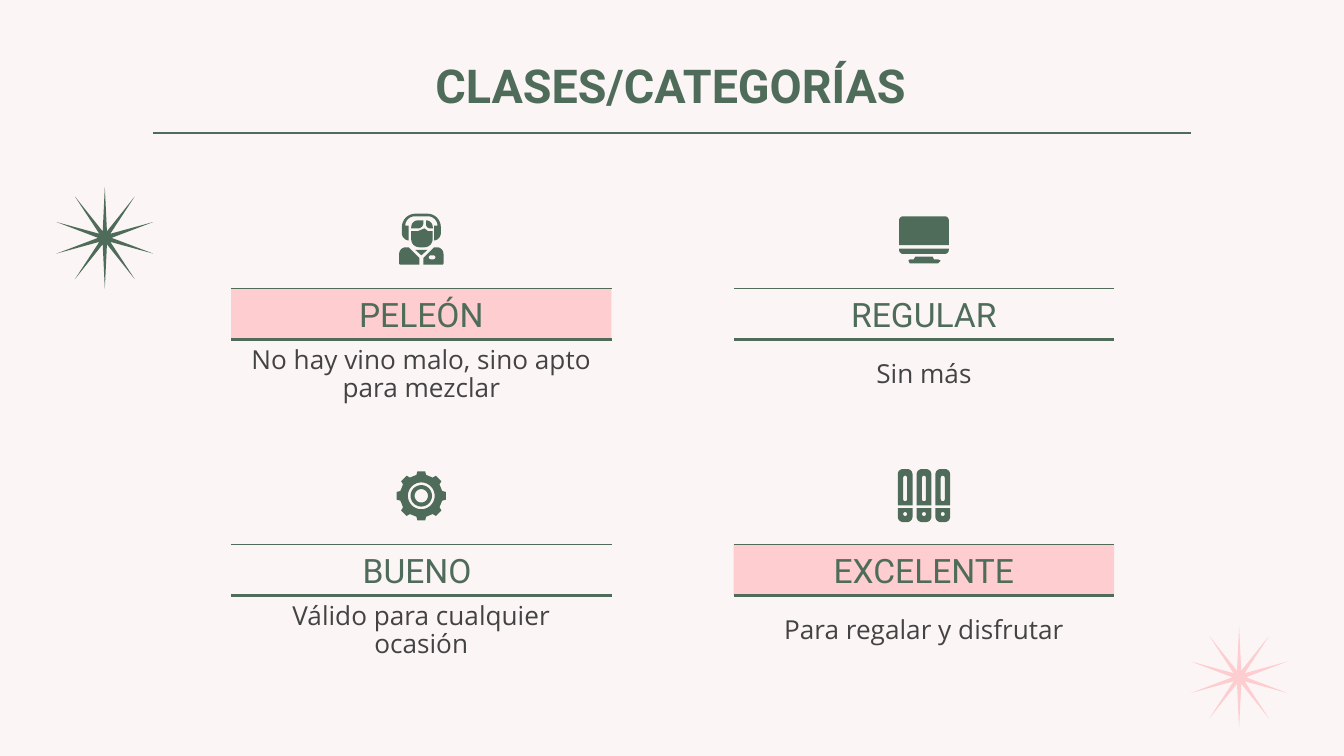
import dataclasses
import math

import pptx
import pptx.dml.color
import pptx.enum.shapes
import pptx.enum.text
import pptx.oxml.xmlchemy
import pptx.util

PX = 4572
CARD_WIDTH, NAME_HEIGHT, DETAIL_HEIGHT = 566, 76, 106
COLUMNS, ROWS = (344, 1092), (429, 810)
PORTRAIT_AXIS = 627


@dataclasses.dataclass(frozen=True)
class Theme:
    paper: str = "FCF5F5"
    green: str = "4F6C5A"
    pink: str = "FECDCF"
    grey: str = "434343"
    heading_font: str = "Roboto"
    body_font: str = "Open Sans"
    heading_size: int = 25
    name_size: int = 18
    detail_size: int = 14
    thick: float = 1.5
    thin: float = 0.75


THEME = Theme()


def rgb(value):
    return pptx.dml.color.RGBColor.from_string(value)


def px(value):
    return round(value * PX)


def apply(target, formats):
    for attribute, value in formats.items():
        setattr(target, attribute, value)


def place(shape, left, top, width, height):
    apply(shape, {"left": px(left), "top": px(top), "width": px(width), "height": px(height)})


def paint(shape, color):
    shape.shadow.inherit = False
    shape.line.fill.background()
    if color:
        shape.fill.solid()
        shape.fill.fore_color.rgb = rgb(color)
    else:
        shape.fill.background()


def write(shape, wording, font, size, color, bold=False, spacing=1.0, inset=20):
    frame = shape.text_frame
    apply(frame, {
        "text": wording,
        "word_wrap": True,
        "auto_size": pptx.enum.text.MSO_AUTO_SIZE.NONE,
        "vertical_anchor": pptx.enum.text.MSO_ANCHOR.MIDDLE,
        "margin_left": px(20),
        "margin_right": px(20),
        "margin_top": px(inset),
        "margin_bottom": px(inset),
    })
    paragraph = frame.paragraphs[0]
    apply(paragraph, {
        "alignment": pptx.enum.text.PP_ALIGN.CENTER,
        "line_spacing": spacing,
        "space_before": pptx.util.Pt(0),
    })
    properties = paragraph._p.get_or_add_pPr()
    properties.set("marL", "0")
    properties.set("indent", "0")
    properties.append(pptx.oxml.xmlchemy.OxmlElement("a:buNone"))
    run_font = paragraph.runs[0].font
    apply(run_font, {"name": font, "size": pptx.util.Pt(size), "bold": bold})
    run_font.color.rgb = rgb(color)


def add_rule(slide, left, right, y, weight):
    rule = slide.shapes.add_connector(
        pptx.enum.shapes.MSO_CONNECTOR.STRAIGHT, px(left), px(y), px(right), px(y))
    rule.line.color.rgb = rgb(THEME.green)
    rule.line.width = pptx.util.Pt(weight)
    rule._element.spPr.append(pptx.oxml.xmlchemy.OxmlElement("a:effectLst"))


def add_star(slide, left, top, color):
    star = slide.shapes.add_shape(
        pptx.enum.shapes.MSO_SHAPE.STAR_10_POINT, px(left), px(top), px(144), px(152))
    star.adjustments[0] = 0.067
    paint(star, color)


def rounded(corners, steps=8):
    points = []
    for index, (x, y, *radius) in enumerate(corners):
        if not any(radius):
            points.append((x, y))
            continue
        ends = []
        for near_x, near_y, *_ in (corners[index - 1], corners[(index + 1) % len(corners)]):
            ratio = radius[0] / math.dist((x, y), (near_x, near_y))
            ends.append((x + (near_x - x) * ratio, y + (near_y - y) * ratio))
        start, end = ends
        for step in range(steps + 1):
            t = step / steps
            a, b, c, d = (1 - t) ** 3, 3 * t * (1 - t) ** 2, 3 * t * t * (1 - t), t ** 3
            points.append(tuple(
                (a + 0.45 * b) * s + 0.55 * (b + c) * k + (d + 0.45 * c) * e
                for s, k, e in zip(start, (x, y), end)))
    return points


def box(left, top, width, height, upper=0, lower=0):
    right, bottom = left + width, top + height
    return rounded([(left, top, upper), (right, top, upper),
                    (right, bottom, lower), (left, bottom, lower)])


def circle(x, y, radius):
    return box(x - radius, y - radius, 2 * radius, 2 * radius, radius, radius)


def monitor():
    foot = [(681, 191), (694, 191), (695, 193), (698, 193), (700, 194),
            (698, 196), (677, 196), (676, 194), (677, 193), (680, 193)]
    return [[box(1338, 322, 74, 43, 6, 0)], [box(1338, 370, 74, 8, 0, 6)],
            [[(2 * x, 2 * y) for x, y in foot]]]


def gear():
    x, y = 627, 738
    teeth = [(x + radius * math.cos(math.radians(45 * tooth + turn)),
              y + radius * math.sin(math.radians(45 * tooth + turn)))
             for tooth in range(8)
             for radius, turn in ((32, -13), (37, -9), (37, 9), (32, 13))]
    return [[teeth, circle(x, y, 20)], [circle(x, y, 16), circle(x, y, 10)]]


def binders():
    parts = []
    for left in (1336, 1364, 1392):
        parts.append([box(left, 698, 22, 54, 8, 0), box(left + 8, 708, 6, 38, 3, 3)])
        parts.append([box(left, 756, 22, 21, 0, 8), circle(left + 11, 765, 3)])
    return parts


def portrait():
    left_coat = rounded([(594, 394, 2), (594, 368, 10), (608, 368), (624, 384), (624, 394)])
    right_coat = [(2 * PORTRAIT_AXIS - x, y) for x, y in left_coat]
    collar = [(618, 372), (636, 372), (627, 380)]
    headphones = rounded([
        (598, 318, 20), (656, 318, 20), (656, 357, 10), (646, 358), (646, 336), (651, 336),
        (651, 322, 14), (603, 322, 14), (603, 336), (608, 336), (608, 358), (598, 357, 10)])
    left_hair = rounded([(612, 328, 10), (630, 328), (630, 340, 8), (612, 340)])
    right_hair = rounded([(634, 328), (644, 328, 10), (644, 340), (634, 340, 6)])
    face = rounded([(612, 344), (622, 344), (632, 340), (637, 344), (644, 344),
                    (644, 368, 12), (612, 368, 12)])
    return [[left_coat], [right_coat, box(638, 380, 10, 6, 3, 3)], [collar],
            [headphones], [left_hair], [right_hair], [face]]


def add_icon(slide, parts):
    icon = slide.shapes.add_group_shape()
    for contours in parts:
        builder = None
        for contour in contours:
            (x, y), *rest = [(px(x), px(y)) for x, y in contour]
            if builder:
                builder.move_to(x, y)
            else:
                builder = icon.shapes.build_freeform(x, y, scale=1)
            builder.add_line_segments(rest, close=True)
        paint(builder.convert_to_shape(), THEME.green)


def add_category(slide, detail, left, top, name, description, highlight, icon):
    label = slide.shapes.add_shape(
        pptx.enum.shapes.MSO_SHAPE.RECTANGLE, px(left), px(top), px(CARD_WIDTH), px(NAME_HEIGHT))
    paint(label, highlight)
    write(label, name, THEME.heading_font, THEME.name_size, THEME.green)
    place(detail, left, top + NAME_HEIGHT, CARD_WIDTH, DETAIL_HEIGHT)
    write(detail, description, THEME.body_font, THEME.detail_size, THEME.grey, spacing=0.9)
    add_rule(slide, left, left + CARD_WIDTH, top, THEME.thin)
    add_rule(slide, left, left + CARD_WIDTH, top + NAME_HEIGHT, THEME.thick)
    add_icon(slide, icon)


def main():
    deck = pptx.Presentation()
    apply(deck, {"slide_width": px(2000), "slide_height": px(1125)})
    slide = deck.slides.add_slide(deck.slide_layouts.get_by_name("Comparison"))
    slide.background.fill.solid()
    slide.background.fill.fore_color.rgb = rgb(THEME.paper)

    heading = slide.shapes.title
    place(heading, 260, 74, 1476, 104)
    write(heading, "CLASES/CATEGORÍAS", THEME.heading_font, THEME.heading_size,
          THEME.green, bold=True, inset=10)
    add_rule(slide, 228, 1772, 198, THEME.thick)
    add_star(slide, 84, 278, THEME.green)
    add_star(slide, 1772, 932, THEME.pink)

    categories = [
        ("PELEÓN", "No hay vino malo, sino apto para mezclar", THEME.pink, portrait()),
        ("REGULAR", "Sin más", None, monitor()),
        ("BUENO ", "Válido para cualquier ocasión", None, gear()),
        ("EXCELENTE", "Para regalar y disfrutar", THEME.pink, binders()),
    ]
    details = list(slide.placeholders)[1:]
    for index, (detail, category) in enumerate(zip(details, categories)):
        row, column = divmod(index, 2)
        add_category(slide, detail, COLUMNS[column], ROWS[row], *category)

    deck.save("out.pptx")


if __name__ == "__main__":
    main()
